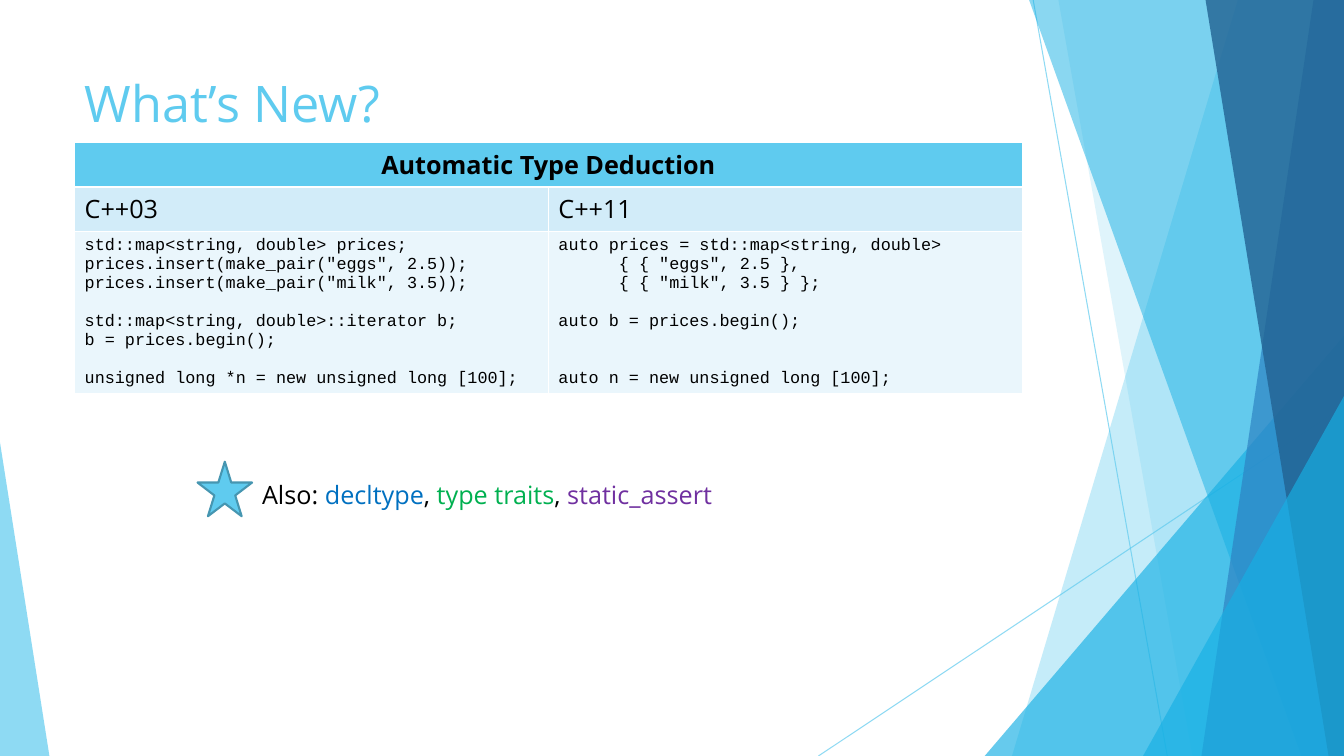
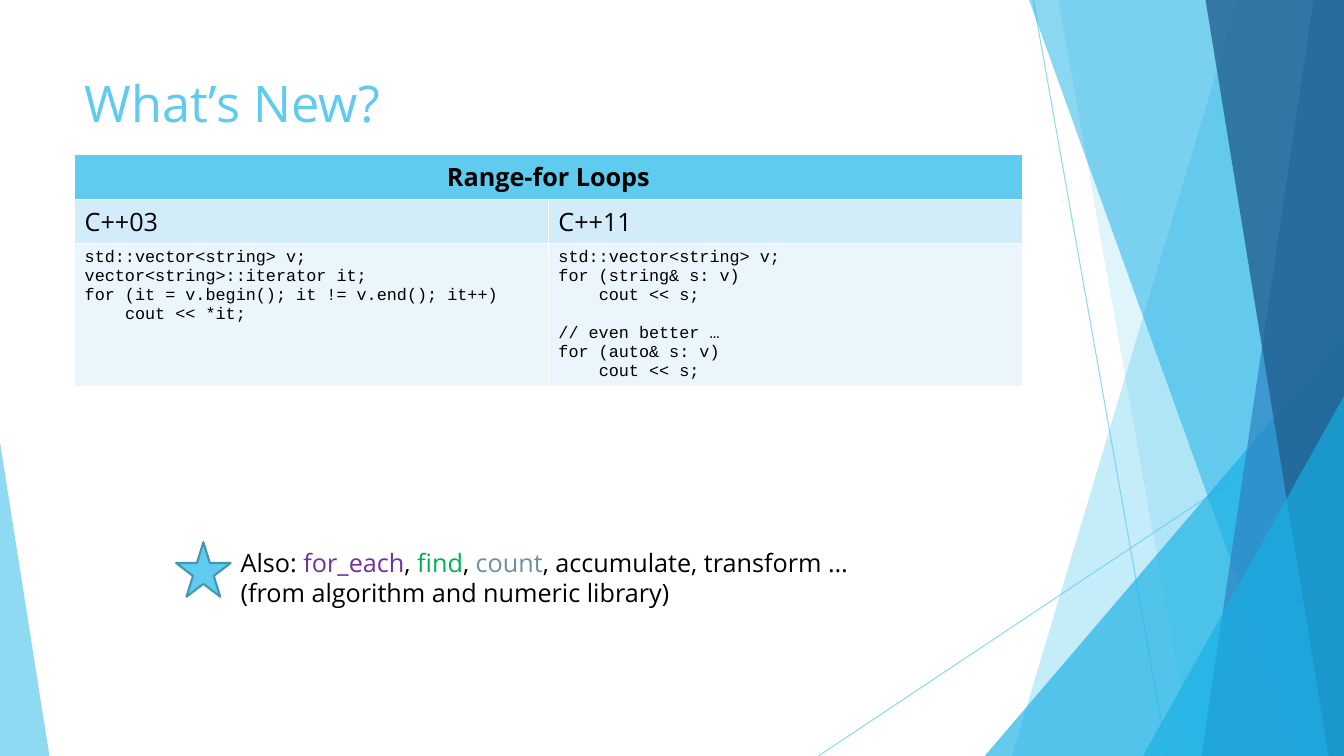
from lxml import etree
from pptx import Presentation
from pptx.dml.color import RGBColor
from pptx.enum import shapes, text
from pptx.oxml import ns
from pptx.util import Pt

# Colours and fonts
SKY = RGBColor(0x5F, 0xCB, 0xEF)
AZURE = RGBColor(0x17, 0xB0, 0xE4)
BLUE = RGBColor(0x2E, 0x83, 0xC3)
NAVY = RGBColor(0x22, 0x62, 0x92)
STAR_EDGE = RGBColor(0x46, 0x96, 0xB1)
LABEL_FILL = RGBColor(0xD2, 0xEC, 0xF9)
CODE_FILL = RGBColor(0xEA, 0xF6, 0xFC)
BLACK = RGBColor(0, 0, 0)
WORD_BLUE = RGBColor(0x00, 0x70, 0xC0)
GREEN = RGBColor(0x00, 0xB0, 0x50)
PURPLE = RGBColor(0x70, 0x30, 0xA0)
GREY = RGBColor(0x6E, 0x91, 0xA0)
SANS, MONO = "Open Sans", "Courier New"

# Content
TITLE = "What’s New?"
VERSIONS = ("C++03", "C++11")
TOPICS = [
    {
        "heading": "Automatic Type Deduction",
        "code": (
            """std::map<string, double> prices;
prices.insert(make_pair("eggs", 2.5));
prices.insert(make_pair("milk", 3.5));

std::map<string, double>::iterator b;
b = prices.begin();

unsigned long *n = new unsigned long [100];""",
            """auto prices = std::map<string, double>
      { { "eggs", 2.5 },
      { { "milk", 3.5 } };

auto b = prices.begin();


auto n = new unsigned long [100];""",
        ),
        "table_top": 101.8,
        "star": (141.1, 329.8),
        "note_box": (339.1, 438, 29),
        "note": [[("Also: ", BLACK), ("decltype", WORD_BLUE), (", ", BLACK),
                  ("type traits", GREEN), (", ", BLACK),
                  ("static_assert", PURPLE)]],
    },
    {
        "heading": "Range-for Loops",
        "code": (
            """std::vector<string> v;
vector<string>::iterator it;
for (it = v.begin(); it != v.end(); it++)
    cout << *it;""",
            """std::vector<string> v;
for (string& s: v)
    cout << s;

// even better …
for (auto& s: v)
    cout << s;""",
        ),
        "table_top": 110.6,
        "star": (125.8, 387.3),
        "note_box": (387.3, 495, 51),
        "note": [[("Also: ", BLACK), ("for_each", PURPLE), (", ", BLACK),
                  ("find", GREEN), (", ", BLACK), ("count", GREY),
                  (", accumulate, transform …", BLACK)],
                 [("(from algorithm and numeric library)", BLACK)]],
    },
]

# Geometry in points
WIDTH, HEIGHT = 960, 540
LEFT, CONTENT_WIDTH = 53.3, 676.8
LABEL_ROW, CODE_LINE, CODE_CHAR, CELL_PADDING = 31.7, 13.6, 7.2, 7.2
STAR_SIZE = 39

# Backdrop: bands are (top x, bottom x) and run to the right edge,
# triangles are (left, top, width, tip) and stand on the bottom edge
BACKDROP_LINES = [(738, 0, 833.8, HEIGHT), (WIDTH, 290, 584.6, HEIGHT)]
BACKDROP = [
    ((884.2, 722.9), SKY, 36),
    ((756, 851.8), SKY, 20),
    ((703.4, 239.8, 256.6, 1), AZURE, 66),
    ((735.1, 929.5), AZURE, 50),
    ((938.2, 858.2), BLUE, 70),
    ((861.1, 949), NAVY, 80),
    ((816.5, 283, 143.5, 1), AZURE, 66),
    ((0, 316.1, 35.3, 0), SKY, 70),
]


def set_opacity(part, percent):
    colour = part.element.spPr.find(".//" + ns.qn("a:srgbClr"))
    etree.SubElement(colour, ns.qn("a:alpha")).set("val", str(percent * 1000))


def style(paragraph, size, font, colour=BLACK, bold=False):
    for run in paragraph.runs:
        run.font.size, run.font.name = Pt(size), font
        run.font.color.rgb, run.font.bold = colour, bold


def draw_backdrop(slide):
    """Draw the lines and translucent panels; return them in order."""
    drawn = []
    for ends in BACKDROP_LINES:
        ray = slide.shapes.add_connector(
            shapes.MSO_CONNECTOR.STRAIGHT, *map(Pt, ends))
        ray.line.color.rgb, ray.line.width = SKY, Pt(0.75)
        set_opacity(ray, 70)
        etree.SubElement(ray.element.spPr, ns.qn("a:effectLst"))
        drawn.append(ray)
    for geometry, colour, opacity in BACKDROP:
        if len(geometry) == 2:
            top_x, bottom_x = geometry
            outline = slide.shapes.build_freeform(Pt(top_x), 0)
            corners = [(WIDTH, 0), (WIDTH, HEIGHT), (bottom_x, HEIGHT)]
            outline.add_line_segments([(Pt(x), Pt(y)) for x, y in corners])
            panel = outline.convert_to_shape()
        else:
            left, top, width, tip = geometry
            panel = slide.shapes.add_shape(
                shapes.MSO_SHAPE.ISOSCELES_TRIANGLE,
                Pt(left), Pt(top), Pt(width), Pt(HEIGHT - top))
            panel.adjustments[0] = tip
        panel.shadow.inherit = False
        panel.fill.solid()
        panel.fill.fore_color.rgb = colour
        panel.line.fill.background()
        set_opacity(panel, opacity)
        drawn.append(panel)
    return drawn


def write_code(frame, code):
    """Blank lines become space before, leading blanks become an indent."""
    blanks, first = 0, True
    for line in code.split("\n"):
        if not line:
            blanks += 1
            continue
        paragraph = frame.paragraphs[0] if first else frame.add_paragraph()
        paragraph.text = line.lstrip()
        indent = len(line) - len(paragraph.text)
        if indent:
            paragraph._p.get_or_add_pPr().set("marL", str(Pt(indent * CODE_CHAR)))
        if blanks:
            paragraph.space_before = Pt(blanks * CODE_LINE)
        style(paragraph, 12, MONO)
        blanks, first = 0, False


def add_comparison(slide, topic):
    lines = max(code.count("\n") + 1 for code in topic["code"])
    heights = [LABEL_ROW, LABEL_ROW, lines * CODE_LINE + CELL_PADDING]
    comparison = slide.shapes.add_table(
        3, 2, Pt(LEFT), Pt(topic["table_top"]),
        Pt(CONTENT_WIDTH), Pt(sum(heights))).table
    fills = (SKY, LABEL_FILL, CODE_FILL)
    for row, height, fill in zip(comparison.rows, heights, fills):
        row.height = Pt(height)
        for cell in row.cells:
            cell.fill.solid()
            cell.fill.fore_color.rgb = fill

    heading = comparison.cell(0, 0)
    heading.merge(comparison.cell(0, 1))
    heading.text_frame.text = topic["heading"]
    heading_line = heading.text_frame.paragraphs[0]
    heading_line.alignment = text.PP_ALIGN.CENTER
    style(heading_line, 18, SANS, bold=True)

    for column, (version, code) in enumerate(zip(VERSIONS, topic["code"])):
        label = comparison.cell(1, column).text_frame
        label.text = version
        style(label.paragraphs[0], 18, SANS)
        write_code(comparison.cell(2, column).text_frame, code)


def add_note(slide, topic):
    left, star_top = topic["star"]
    star = slide.shapes.add_shape(
        shapes.MSO_SHAPE.STAR_5_POINT, Pt(left), Pt(star_top),
        Pt(STAR_SIZE), Pt(STAR_SIZE))
    star.shadow.inherit = False
    star.fill.solid()
    star.fill.fore_color.rgb = SKY
    star.line.color.rgb, star.line.width = STAR_EDGE, Pt(1.5)

    top, width, height = topic["note_box"]
    note = slide.shapes.add_textbox(
        Pt(left + STAR_SIZE), Pt(top), Pt(width), Pt(height)).text_frame
    note.word_wrap = True
    for number, words in enumerate(topic["note"]):
        paragraph = note.add_paragraph() if number else note.paragraphs[0]
        for word, colour in words:
            run = paragraph.add_run()
            run.text = word
            run.font.size, run.font.name = Pt(18), SANS
            run.font.color.rgb = colour


def add_title(slide, height):
    title = slide.shapes.title
    title.left, title.top = Pt(LEFT), Pt(48.2)
    title.width, title.height = Pt(CONTENT_WIDTH), Pt(height)
    frame = title.text_frame
    frame.text = TITLE
    frame.vertical_anchor = text.MSO_ANCHOR.TOP
    frame.auto_size = text.MSO_AUTO_SIZE.NONE
    frame.paragraphs[0].alignment = text.PP_ALIGN.LEFT
    style(frame.paragraphs[0], 36, SANS, SKY)


# Slides
deck = Presentation()
deck.slide_width, deck.slide_height = Pt(WIDTH), Pt(HEIGHT)
layout = deck.slide_layouts.get_by_name("Title Only")
for number, topic in enumerate(TOPICS):
    slide = deck.slides.add_slide(layout)
    if number == 0:
        # The backdrop moves to the layout, so every slide shows it
        for position, part in enumerate(draw_backdrop(slide), start=2):
            layout.shapes.element.insert(position, part.element)
    add_title(slide, topic["table_top"] - 48.2)
    add_comparison(slide, topic)
    add_note(slide, topic)

deck.save("out.pptx")
